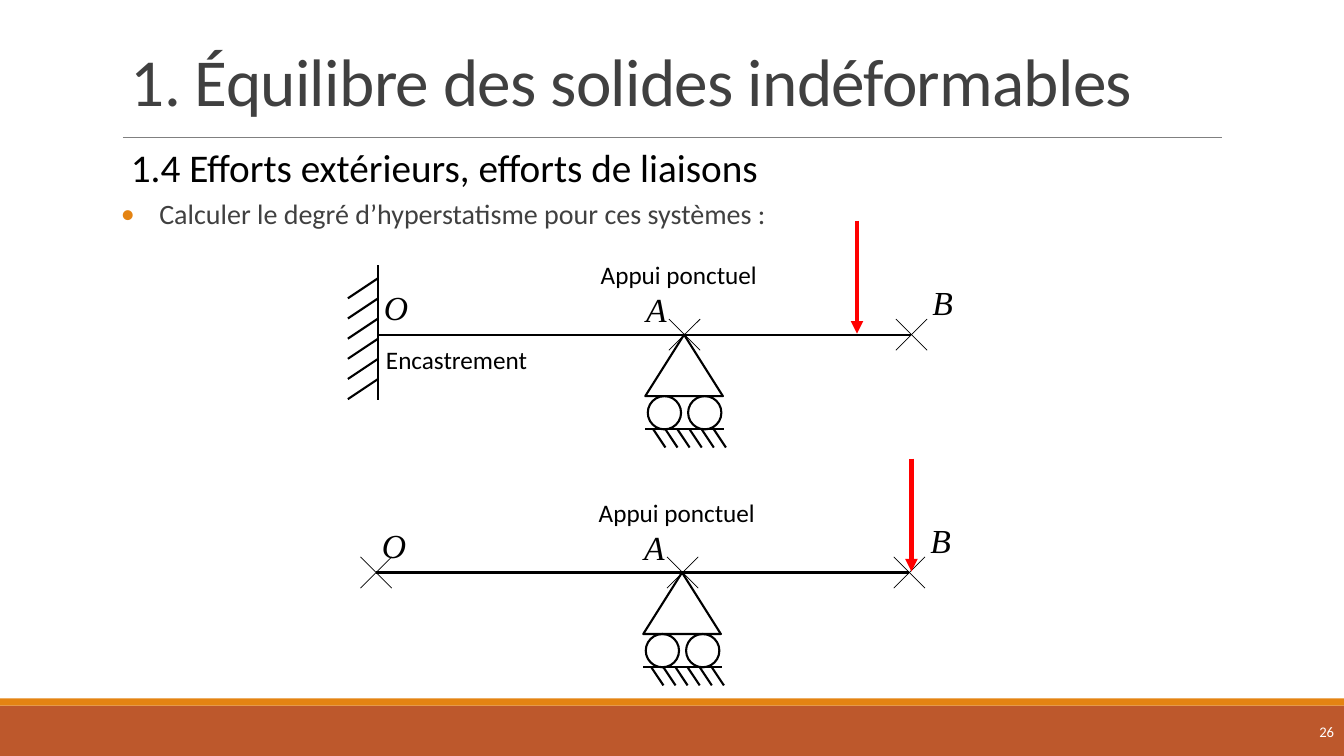
from lxml import etree
from pptx import Presentation
from pptx.dml.color import RGBColor
from pptx.enum.shapes import MSO_CONNECTOR, MSO_SHAPE
from pptx.enum.text import MSO_ANCHOR, PP_ALIGN
from pptx.oxml.ns import qn
from pptx.util import Inches, Pt

STRAIGHT = MSO_CONNECTOR.STRAIGHT
RECTANGLE, TRIANGLE, OVAL = MSO_SHAPE.RECTANGLE, MSO_SHAPE.ISOSCELES_TRIANGLE, MSO_SHAPE.OVAL
TOP, MIDDLE, BOTTOM = MSO_ANCHOR.TOP, MSO_ANCHOR.MIDDLE, MSO_ANCHOR.BOTTOM
LEFT, RIGHT, JUSTIFY = PP_ALIGN.LEFT, PP_ALIGN.RIGHT, PP_ALIGN.JUSTIFY

COLORS = {"band": "BD582C", "accent": "E48312", "rule": "808080", "title": "404040",
          "ink": "000000", "force": "FF0000", "white": "FFFFFF"}
SANS, SERIF = "Calibri", "Times New Roman"
WIDTH, HEIGHT = 13.33, 7.5

TITLE = "1. Équilibre des solides indéformables"
SUBTITLE = "1.4 Efforts extérieurs, efforts de liaisons"
TASK = "Calculer le degré d’hyperstatisme pour ces systèmes :"
PAGE = "26"

SYSTEMS = [
    {"O": (3.75, 3.32), "clamped": True, "force": 4.75},
    {"O": (3.73, 5.68), "clamped": False, "force": 5.31},
]
SUPPORT, END = 3.04, 5.29
POINTS = [("O", -0.04, -0.52), ("A", 2.56, -0.5), ("B", 5.4, -0.57)]
SUPPORT_LABEL = ("Appui ponctuel", 2.11, -0.8)
CLAMP_LABEL = ("Encastrement", -0.02, 0.05)
CROSS, ROLLER = 0.155, 0.33
WALL_HATCHES = GROUND_HATCHES = 6


def rgb(name):
    return RGBColor.from_string(COLORS[name])


def add_text(shapes, text, left, top, width, height, size, color="ink", font=SANS,
             align=LEFT, anchor=TOP, italic=False):
    box = shapes.add_textbox(Inches(left), Inches(top), Inches(width), Inches(height))
    frame = box.text_frame
    frame.word_wrap = True
    frame.vertical_anchor = anchor
    paragraph = frame.paragraphs[0]
    paragraph.alignment = align
    run = paragraph.add_run()
    run.text = text
    run.font.name, run.font.size, run.font.italic = font, Pt(size), italic
    run.font.color.rgb = rgb(color)
    return frame


def add_line(shapes, x1, y1, x2, y2, weight=1.5, color="ink", arrow=False):
    line = shapes.add_connector(STRAIGHT, Inches(x1), Inches(y1), Inches(x2), Inches(y2))
    line.line.color.rgb = rgb(color)
    line.line.width = Pt(weight)
    if arrow:
        etree.SubElement(line.line._get_or_add_ln(), qn("a:tailEnd"), type="triangle")
    etree.SubElement(line._element.spPr, qn("a:effectLst"))


def add_figure(shapes, kind, left, top, width, height, fill=None):
    figure = shapes.add_shape(kind, Inches(left), Inches(top), Inches(width), Inches(height))
    figure.shadow.inherit = False
    if fill:
        figure.fill.solid()
        figure.fill.fore_color.rgb = rgb(fill)
        figure.line.fill.background()
    else:
        figure.fill.background()
        figure.line.color.rgb = rgb("ink")
        figure.line.width = Pt(1.5)


def add_cross(shapes, x, y):
    for rise in (CROSS, -CROSS):
        add_line(shapes, x - CROSS, y - rise, x + CROSS, y + rise, 0.5)


def add_clamp(shapes, x, y):
    add_line(shapes, x, y - 0.69, x, y + 0.65)
    for i in range(WALL_HATCHES):
        start = y - 0.56 + 0.2 * i
        add_line(shapes, x, start, x - 0.3, start + 0.2)


def add_support(shapes, x, y):
    ground = y + 0.94
    add_figure(shapes, TRIANGLE, x - 0.39, y, 0.77, 0.61)
    for center in (x - 0.2, x + 0.2):
        add_figure(shapes, OVAL, center - ROLLER / 2, ground - ROLLER, ROLLER, ROLLER)
    add_line(shapes, x - 0.39, ground, x + 0.39, ground)
    for i in range(GROUND_HATCHES):
        start = x - 0.31 + 0.12 * i
        add_line(shapes, start, ground, start + 0.12, ground + 0.18)


def add_system(shapes, system):
    x, y = system["O"]
    labels = [SUPPORT_LABEL]
    crosses = [SUPPORT, END]
    if system["clamped"]:
        add_clamp(shapes, x, y)
        labels.append(CLAMP_LABEL)
    else:
        crosses.append(0)
    add_line(shapes, x, y, x + END, y)
    add_support(shapes, x + SUPPORT, y)
    for dx in crosses:
        add_cross(shapes, x + dx, y)
    for text, dx, dy in labels:
        add_text(shapes, text, x + dx, y + dy, 2, 0.44, 18)
    for text, dx, dy in POINTS:
        add_text(shapes, text, x + dx, y + dy, 0.49, 0.55, 24, font=SERIF, italic=True)
    force = x + system["force"]
    add_line(shapes, force, y - 1.13, force, y - 0.01, 3, "force", True)


def add_task(shapes):
    frame = add_text(shapes, TASK, 1.2, 1.94, 10.87, 0.74, 20, "title", align=JUSTIFY)
    frame.margin_left = frame.margin_right = 0
    paragraph = frame.paragraphs[0]
    paragraph.line_spacing = 0.9
    paragraph.space_after = Pt(2)
    properties = paragraph._p.get_or_add_pPr()
    properties.set("marL", str(Inches(0.38)))
    properties.set("indent", str(-Inches(0.38)))
    bullet_color = etree.SubElement(properties, qn("a:buClr"))
    etree.SubElement(bullet_color, qn("a:srgbClr"), val=COLORS["accent"])
    etree.SubElement(properties, qn("a:buFont"), typeface=SANS)
    etree.SubElement(properties, qn("a:buChar"), char="•")


def main():
    deck = Presentation()
    deck.slide_width, deck.slide_height = Inches(WIDTH), Inches(HEIGHT)
    shapes = deck.slides.add_slide(deck.slide_layouts[6]).shapes

    add_figure(shapes, RECTANGLE, 0, 7, WIDTH, 0.5, "band")
    add_figure(shapes, RECTANGLE, 0, 6.93, WIDTH, 0.07, "accent")
    add_line(shapes, 1.22, 1.36, 12.12, 1.36, 0.5, "rule")

    title = add_text(shapes, TITLE, 1.2, 0.31, 11, 0.93, 48, "title", anchor=BOTTOM).paragraphs[0]
    title.line_spacing = 0.85
    title.runs[0].font._element.set("spc", "-50")
    add_text(shapes, PAGE, 11.9, 7.06, 1.43, 0.4, 10.5, "white", align=RIGHT, anchor=MIDDLE)
    add_text(shapes, SUBTITLE, 1.2, 1.37, 11, 0.57, 28)

    for system in SYSTEMS:
        add_system(shapes.add_group_shape().shapes, system)
    add_task(shapes)
    deck.save("out.pptx")


if __name__ == "__main__":
    main()
